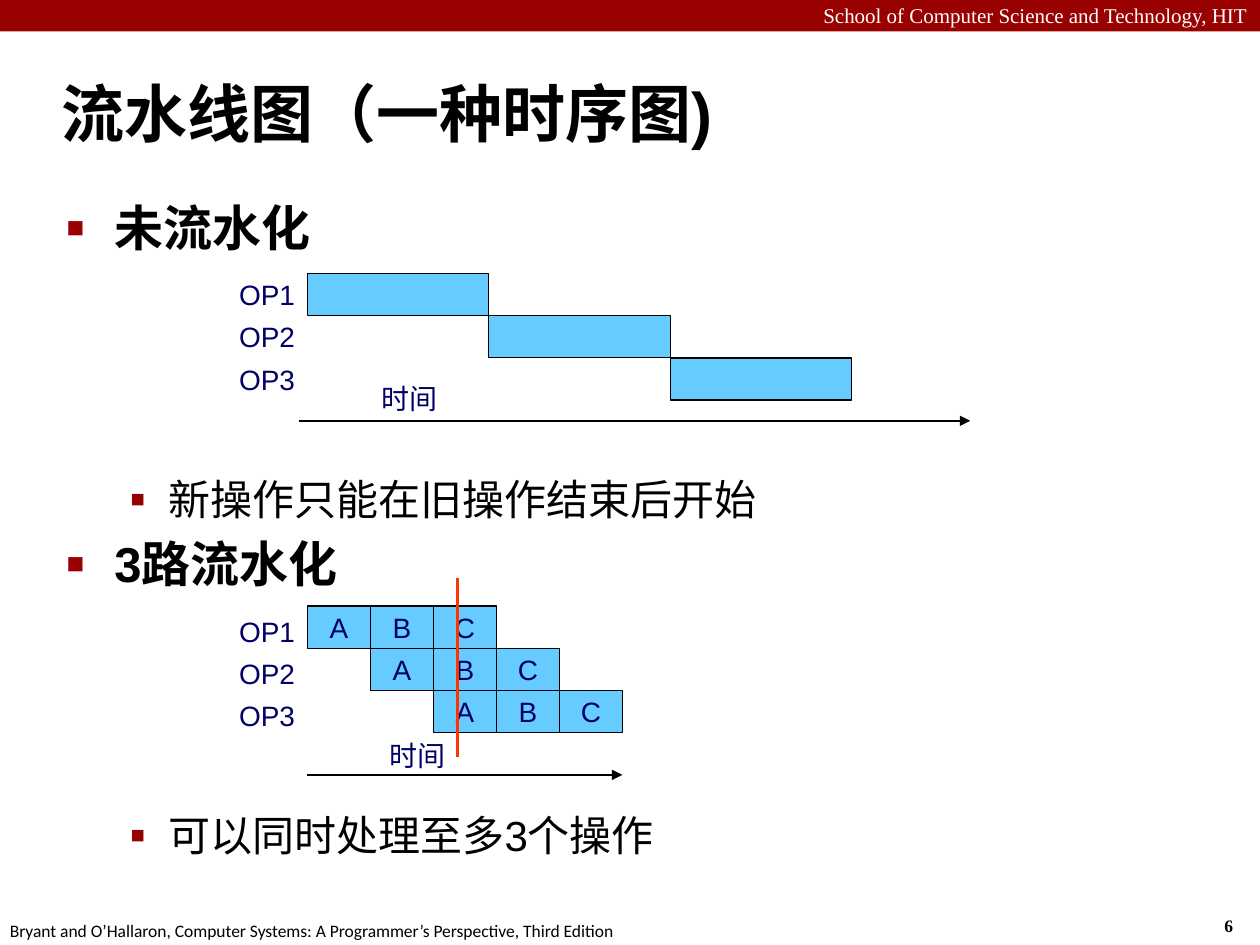
from lxml.etree import SubElement
from pptx import Presentation
from pptx.dml.color import RGBColor
from pptx.enum.shapes import MSO_CONNECTOR as Connector, MSO_SHAPE as Shape
from pptx.enum.text import MSO_ANCHOR as Anchor, PP_ALIGN as Align
from pptx.oxml.ns import qn
from pptx.util import Inches, Pt

RED = RGBColor(0x99, 0x00, 0x00)
MARKER = RGBColor(0xFF, 0x33, 0x00)
BLUE = RGBColor(0x66, 0xCC, 0xFF)
NAVY = RGBColor(0x00, 0x00, 0x66)
BLACK = RGBColor(0x00, 0x00, 0x00)
WHITE = RGBColor(0xFF, 0xFF, 0xFF)

deck = Presentation()
deck.slide_width, deck.slide_height = Inches(10), Inches(7.5)
page = deck.slides.add_slide(deck.slide_layouts[6])
UNIT = deck.slide_width / 100  # the page is 100 columns by 75 rows


def add_box(place, text="", size=16, color=NAVY, font="Arial", bold=False,
            align=Align.LEFT, anchor=Anchor.TOP, wrap=False, fill=None, line=None):
    """Add a rectangle, or a text box when it has no fill."""
    place = [round(value * UNIT) for value in place]
    if fill is None:
        box = page.shapes.add_textbox(*place)
    else:
        box = page.shapes.add_shape(Shape.RECTANGLE, *place)
        box.shadow.inherit = False
        box.fill.solid()
        box.fill.fore_color.rgb = fill
        if line is None:
            box.line.fill.background()
        else:
            box.line.color.rgb = line
            box.line.width = Pt(0.75)
    frame = box.text_frame
    frame.word_wrap = wrap
    frame.vertical_anchor = anchor
    if text:
        para = frame.paragraphs[0]
        para.text = text
        para.alignment = align
        para.font.size, para.font.name, para.font.bold = Pt(size), font, bold
        para.font.color.rgb = color
    return box


def add_line(x1, y1, x2, y2, color, width, arrow=False):
    ends = [round(value * UNIT) for value in (x1, y1, x2, y2)]
    line = page.shapes.add_connector(Connector.STRAIGHT, *ends)
    line.line.color.rgb = color
    line.line.width = Pt(width)
    if arrow:
        SubElement(line.line._get_or_add_ln(), qn("a:tailEnd"), type="triangle")
    SubElement(line._element.spPr, qn("a:effectLst"))


# Header band, page number and footer
add_box((0, 0, 100, 2.5), fill=RED)
add_box((0, -0.3, 100, 3), "School of Computer Science and Technology, HIT", 12,
        WHITE, "Times New Roman", align=Align.RIGHT, wrap=True)
add_box((96.2, 72.1, 3.7, 2.7), "6", 10, BLACK, "Times New Roman", bold=True)
add_box((-0.2, 72.5, 50.8, 2.7),
        "Bryant and O’Hallaron, Computer Systems: A Programmer’s Perspective, Third Edition",
        10, BLACK, "Calibri")

# Title
add_box((3.9, 4.8, 96.1, 8.3), "流水线图（一种时序图)", 36, BLACK, bold=True,
        anchor=Anchor.MIDDLE, wrap=True)

# Bulleted text, with room for a diagram below each heading
GAP = 124
body = add_box((4.3, 15.2, 94, 57.3), wrap=True).text_frame
bullets = [("未流水化", 0, 0), ("新操作只能在旧操作结束后开始", 1, GAP),
           ("3路流水化", 0, 5.6), ("可以同时处理至多3个操作", 1, GAP)]
for number, (text, level, before) in enumerate(bullets):
    para = body.add_paragraph() if number else body.paragraphs[0]
    para.text = text
    para.level = level
    para.space_before = Pt(before)
    para.font.size, para.font.name = Pt((28, 24)[level]), "Arial"
    para.font.bold = level == 0
    para.font.color.rgb = BLACK
    props = para._p.get_or_add_pPr()
    props.set("marL", str(Inches((0.38, 0.81)[level])))
    props.set("indent", str(-Inches((0.38, 0.31)[level])))
    mark_color = SubElement(props, qn("a:buClr"))
    SubElement(mark_color, qn("a:srgbClr"), val=str(RED))
    SubElement(props, qn("a:buSzPct"), val=("60000", "110000")[level])
    SubElement(props, qn("a:buFont"), typeface="Arial")
    SubElement(props, qn("a:buChar"), char="■▪"[level])
    props.append(props.find(qn("a:defRPr")))  # the schema wants it after the bullet

# Shared grid of both diagrams
LEFT, ROW, STAGE, OPERATION = 24.4, 3.35, 5, 14.4
SERIAL_TOP, PIPE_TOP = 21.7, 48.1

# Time axes
add_line(23.7, 33.4, 77, 33.4, BLACK, 1, arrow=True)
add_line(LEFT, 61.5, LEFT + 5 * STAGE, 61.5, BLACK, 1, arrow=True)
for x, y in ((29.3, 29.8), (29.9, 58.1)):
    add_box((x, y, 6.5, 3.7), "时间")

# Operations: one after another above, overlapping by stage below
for row in range(3):
    for top in (SERIAL_TOP, PIPE_TOP + 0.3):
        add_box((17.5, top + row * ROW, 6.9, ROW), f"OP{row + 1}",
                align=Align.RIGHT, anchor=Anchor.MIDDLE, fill=WHITE)
    add_box((LEFT + row * OPERATION, SERIAL_TOP + row * ROW, OPERATION, ROW),
            fill=BLUE, line=BLACK)
    for step, stage in enumerate("ABC"):
        add_box((LEFT + (row + step) * STAGE, PIPE_TOP + row * ROW, STAGE, ROW), stage,
                align=Align.CENTER, anchor=Anchor.MIDDLE, fill=BLUE, line=BLACK)

# Moment at which all three operations are in progress
add_line(36.3, 45.9, 36.3, 60.1, MARKER, 1.5)

deck.save("out.pptx")
